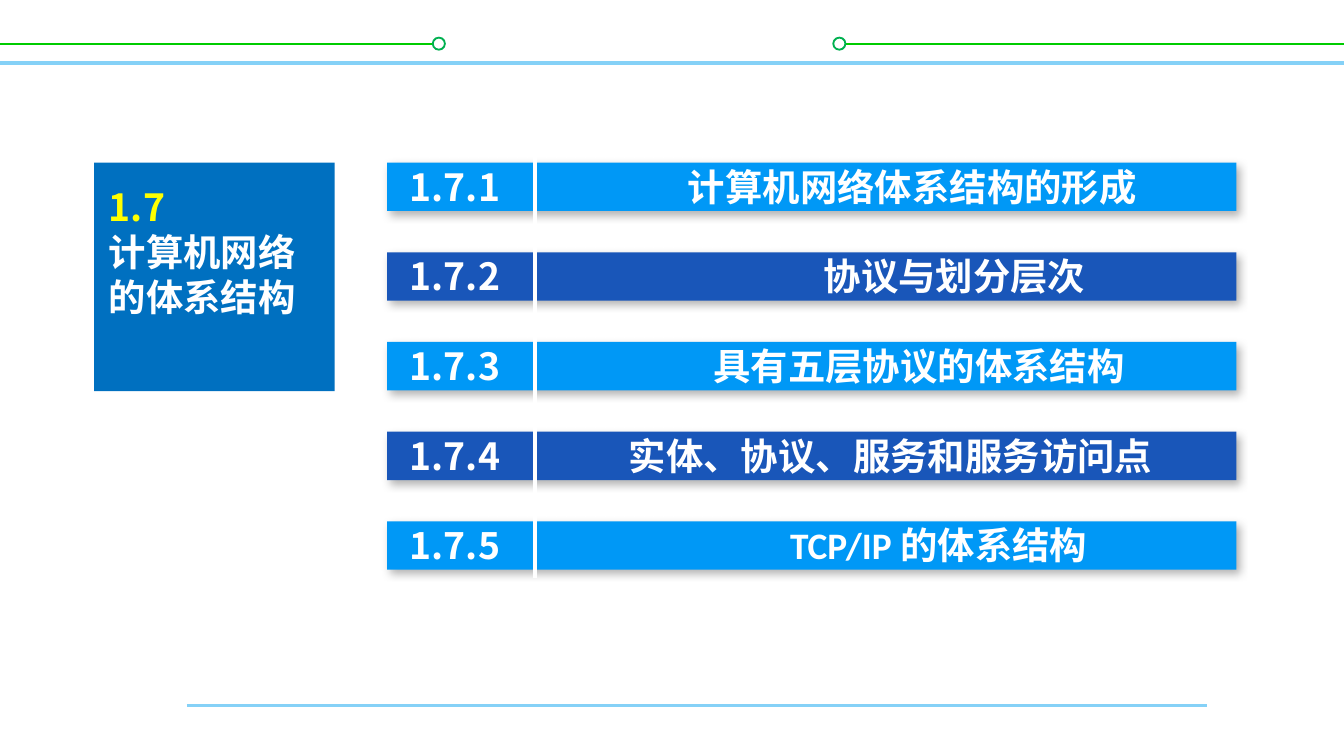
from lxml import etree
from pptx import Presentation
from pptx.dml.color import RGBColor
from pptx.enum.shapes import MSO_CONNECTOR, MSO_SHAPE
from pptx.enum.text import MSO_ANCHOR, MSO_AUTO_SIZE, PP_ALIGN
from pptx.oxml import parse_xml
from pptx.oxml.ns import nsdecls, qn
from pptx.util import Inches, Pt

STRAIGHT = MSO_CONNECTOR.STRAIGHT
RECTANGLE, OVAL = MSO_SHAPE.RECTANGLE, MSO_SHAPE.OVAL
TOP, LEFT = MSO_ANCHOR.TOP, PP_ALIGN.LEFT
NO_AUTOFIT = MSO_AUTO_SIZE.NONE

CJK_FONT, LATIN_FONT = "Noto Sans CJK SC", "Calibri"
WHITE, YELLOW = "FFFFFF", "FFFF00"
SKY, GREEN, RING_GREEN = "85D1F7", "00CC00", "00B050"
TITLE_BLUE, BAR_COLORS = "0070C0", ("0098F6", "1956B9")

TITLE_LINES = [("1.7", YELLOW), ("计算机网络的体系结构", WHITE)]
SECTIONS = [
    ("1.7.1", "计算机网络体系结构的形成", 2.07),
    ("1.7.2", "协议与划分层次", 3.08),
    ("1.7.3", "具有五层协议的体系结构", 2.26),
    ("1.7.4", "实体、协议、服务和服务访问点", 1.63),
    ("1.7.5", "TCP/IP 的体系结构", 2.83),
]
RULES = [
    (0, 0.47, 10, 0.47, SKY, 2),
    (0, 0.33, 3.24, 0.33, GREEN, 1),
    (6.2, 0.33, 10, 0.33, GREEN, 1),
    (1.39, 5.25, 8.98, 5.25, SKY, 1.5),
]
RING_LEFTS = (3.22, 6.2)
BAR_LEFT, BAR_WIDTH, BAR_HEIGHT = 2.88, 6.32, 0.36
FIRST_BAR_TOP, LAST_BAR_TOP = 1.21, 3.88
BAR_PITCH = (LAST_BAR_TOP - FIRST_BAR_TOP) / (len(SECTIONS) - 1)


def color(value):
    return RGBColor.from_string(value)


def add_line(slide, x1, y1, x2, y2, line_color, width):
    line = slide.shapes.add_connector(STRAIGHT, Inches(x1), Inches(y1), Inches(x2), Inches(y2))
    line.line.color.rgb = color(line_color)
    line.line.width = Pt(width)
    etree.SubElement(line._element.spPr, qn("a:effectLst"))


def add_block(slide, kind, left, top, width, height, fill):
    shape = slide.shapes.add_shape(kind, Inches(left), Inches(top), Inches(width), Inches(height))
    shape.shadow.inherit = False
    shape.fill.solid()
    shape.fill.fore_color.rgb = color(fill)
    shape.line.fill.background()
    return shape


def add_soft_shadow(shape):
    effects = shape._element.spPr.find(qn("a:effectLst"))
    effects.append(parse_xml(
        f'<a:outerShdw {nsdecls("a")} blurRad="{Pt(4.5)}" dist="{Pt(2.6)}" dir="{53 * 60000}" '
        'algn="tl" rotWithShape="0"><a:srgbClr val="000000"><a:alpha val="30000"/>'
        '</a:srgbClr></a:outerShdw>'))


def add_run(paragraph, text, font_name, text_color):
    run = paragraph.add_run()
    run.text = text
    run.font.name = font_name
    run.font.size = Pt(20)
    run.font.bold = True
    run.font.color.rgb = color(text_color)
    east_asian = etree.SubElement(run.font._element, qn("a:ea"))
    east_asian.set("typeface", CJK_FONT)


def add_paragraph(frame, index, space_before):
    paragraph = frame.add_paragraph() if index else frame.paragraphs[0]
    paragraph.alignment = LEFT
    paragraph.line_spacing = Pt(24)
    paragraph.space_before = Pt(space_before if index else 0)
    return paragraph


def set_frame(frame):
    frame.word_wrap = True
    frame.auto_size = NO_AUTOFIT
    frame.vertical_anchor = TOP


presentation = Presentation()
presentation.slide_width = Inches(10)
presentation.slide_height = presentation.slide_width * 9 // 16
slide = presentation.slides.add_slide(presentation.slide_layouts[5])

for rule in RULES:
    add_line(slide, *rule)
for left in RING_LEFTS:
    ring = add_block(slide, OVAL, left, 0.28, 0.09, 0.09, WHITE)
    ring.line.color.rgb = color(RING_GREEN)
    ring.line.width = Pt(1)

for index in range(len(SECTIONS)):
    bar = add_block(slide, RECTANGLE, BAR_LEFT, FIRST_BAR_TOP + index * BAR_PITCH,
                    BAR_WIDTH, BAR_HEIGHT, BAR_COLORS[index % 2])
    add_soft_shadow(bar)
add_line(slide, 3.98, 1.13, 3.98, 4.3, WHITE, 2.25)

contents = slide.shapes.add_textbox(Inches(2.95), Inches(1.17), Inches(5.98), Inches(3.13))
set_frame(contents.text_frame)
for index, (number, name, tab) in enumerate(SECTIONS):
    paragraph = add_paragraph(contents.text_frame, index, 24)
    tabs = etree.SubElement(paragraph._p.get_or_add_pPr(), qn("a:tabLst"))
    etree.SubElement(tabs, qn("a:tab"), pos=str(Inches(tab)), algn="l")
    add_run(paragraph, number + "\t", CJK_FONT, WHITE)
    add_run(paragraph, name, LATIN_FONT, WHITE)

title = slide.shapes.title
title.left, title.top = Inches(0.7), Inches(1.21)
title.width, title.height = Inches(1.79), Inches(1.7)
title.fill.solid()
title.fill.fore_color.rgb = color(TITLE_BLUE)
set_frame(title.text_frame)
title.text_frame.margin_top = Inches(0.16)
title.text_frame.margin_left = Inches(0.11)
for index, (text, text_color) in enumerate(TITLE_LINES):
    add_run(add_paragraph(title.text_frame, index, 0), text, CJK_FONT, text_color)

presentation.save("out.pptx")
